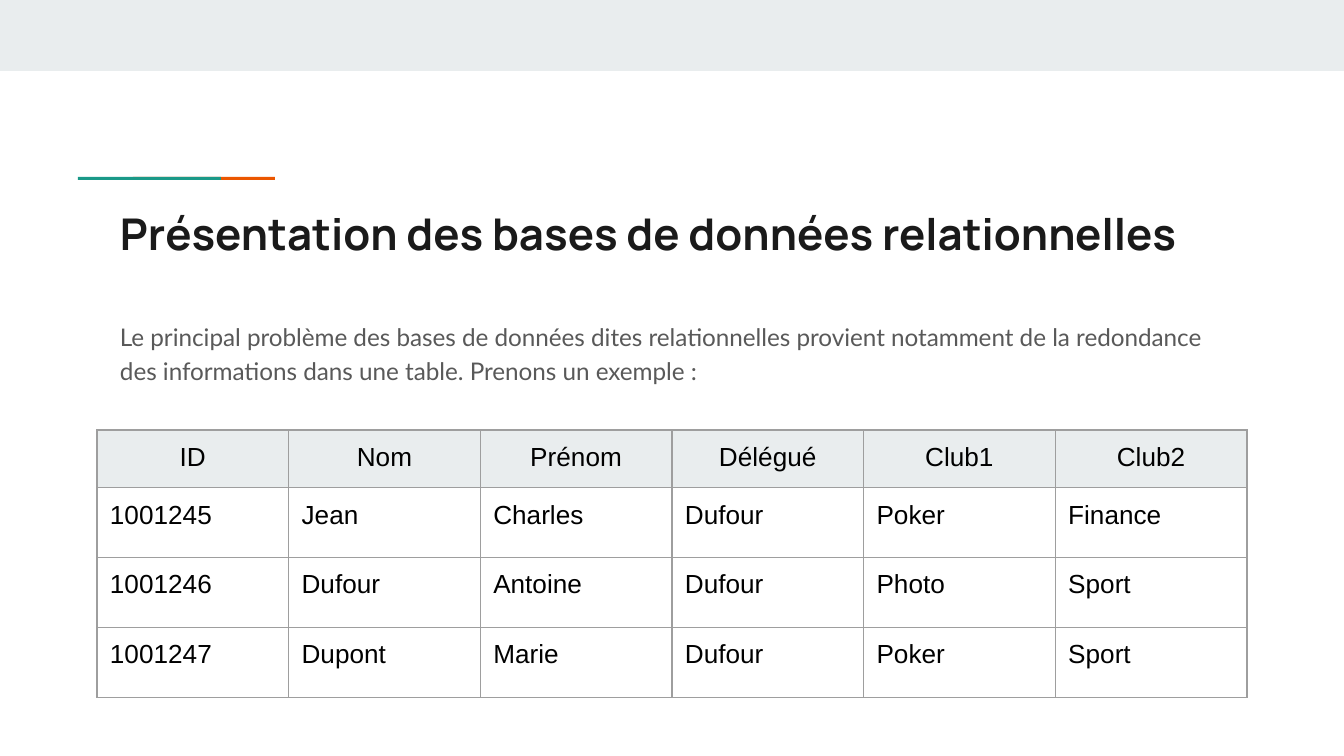
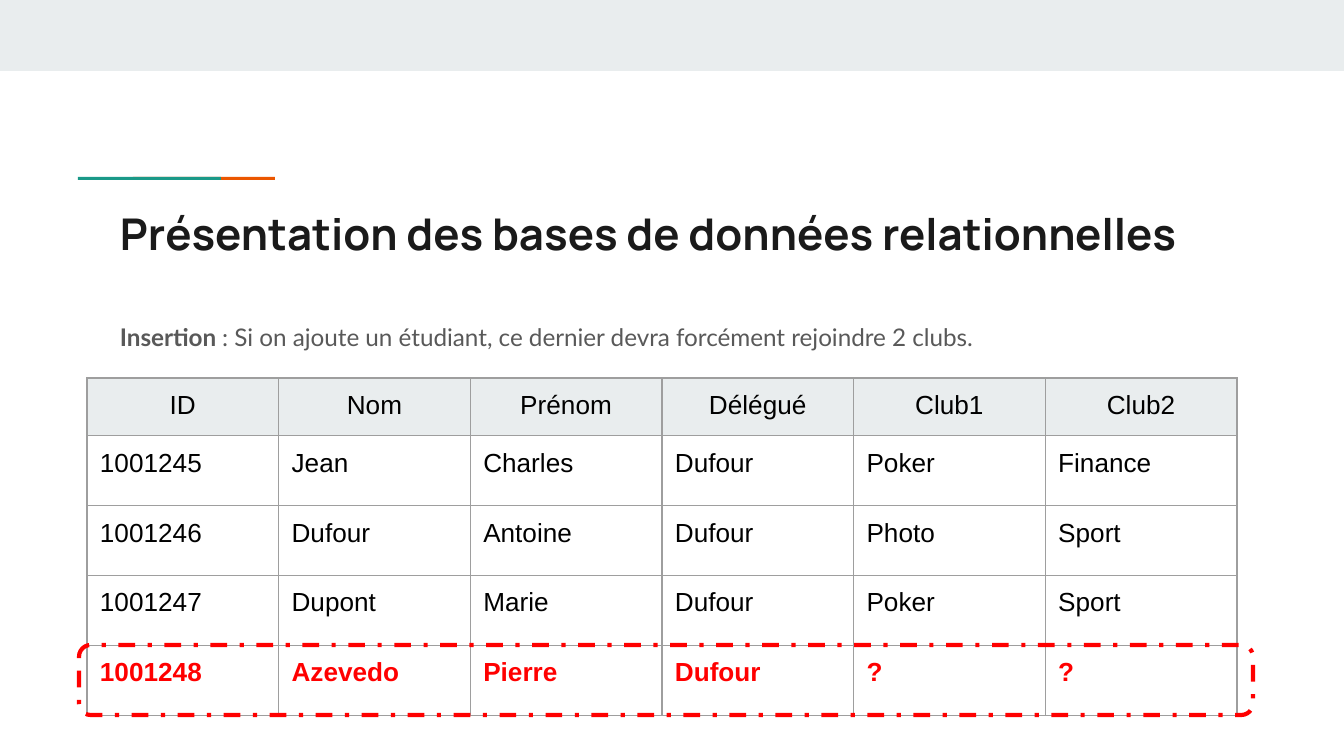
from lxml import etree
from pptx import Presentation
from pptx.dml.color import RGBColor
from pptx.enum.dml import MSO_LINE
from pptx.enum.shapes import MSO_SHAPE
from pptx.enum.text import PP_ALIGN
from pptx.oxml.ns import qn
from pptx.util import Emu, Pt

WIDTH, HEIGHT = 1344, 756
EMU_PER_PX = 9144000 / WIDTH

PALE = RGBColor(0xE9, 0xED, 0xEE)
ORANGE = RGBColor(0xEB, 0x56, 0x00)
TEAL = RGBColor(0x1A, 0x99, 0x88)
INK = RGBColor(0x1A, 0x1A, 0x1A)
GREY = RGBColor(0x59, 0x59, 0x59)
BORDER = RGBColor(0x9E, 0x9E, 0x9E)
BLACK = RGBColor(0, 0, 0)
RED = RGBColor(0xFF, 0, 0)

TITLE = "Présentation des bases de données relationnelles"
HEADER = ("ID", "Nom", "Prénom", "Délégué", "Club1", "Club2")
STUDENTS = [
    ("1001245", "Jean", "Charles", "Dufour", "Poker", "Finance"),
    ("1001246", "Dufour", "Antoine", "Dufour", "Photo", "Sport"),
    ("1001247", "Dupont", "Marie", "Dufour", "Poker", "Sport"),
]
NEW_STUDENT = ("1001248", "Azevedo", "Pierre", "Dufour", "?", "?")

# Runs are (text, bold) pairs.
SLIDES = [
    {
        "runs": [("Le principal problème des bases de données dites relationnelles "
                  "provient notamment de la redondance des informations dans une table. "
                  "Prenons un exemple :", False)],
        "body_height": 99,
        "table_at": (97, 430),
        "new_students": [],
    },
    {
        "runs": [("Insertion ", True),
                 (": Si on ajoute un étudiant, ce dernier devra forcément rejoindre "
                  "2 clubs.", False)],
        "body_height": 332,
        "table_at": (87, 378),
        "new_students": [NEW_STUDENT],
    },
]

TEXT_LEFT, TEXT_WIDTH = 107, 1130
TABLE_WIDTH = 1150
HEADER_HEIGHT, ROW_HEIGHT = 56, 70
INSET = 13
FRAME_LEFT, FRAME_WIDTH = 79, 1174


def px(length):
    return Emu(round(length * EMU_PER_PX))


def box(*lengths):
    return [px(length) for length in lengths]


def write(frame, runs, font, size, color, align=PP_ALIGN.LEFT, spacing=None, after=None):
    frame.word_wrap = True
    frame.margin_left = frame.margin_right = px(INSET)
    frame.margin_top = frame.margin_bottom = px(INSET)
    paragraph = frame.paragraphs[0]
    paragraph.alignment = align
    paragraph.line_spacing = spacing
    paragraph.space_after = after
    for text, bold in runs:
        run = paragraph.add_run()
        run.text = text
        run.font.name = font
        run.font.size = Pt(size)
        run.font.bold = bold
        run.font.color.rgb = color


def add_bar(slide, left, top, width, height, color):
    shape = slide.shapes.add_shape(MSO_SHAPE.RECTANGLE, *box(left, top, width, height))
    shape.shadow.inherit = False
    shape.fill.solid()
    shape.fill.fore_color.rgb = color
    shape.line.fill.background()


def add_text(slide, top, height, runs, **style):
    textbox = slide.shapes.add_textbox(*box(TEXT_LEFT, top, TEXT_WIDTH, height))
    write(textbox.text_frame, runs, **style)


def set_borders(cell):
    properties = cell._tc.get_or_add_tcPr()
    for position, side in enumerate(("a:lnL", "a:lnR", "a:lnT", "a:lnB")):
        line = etree.Element(qn(side), w=str(Pt(0.75)))
        fill = etree.SubElement(line, qn("a:solidFill"))
        etree.SubElement(fill, qn("a:srgbClr"), val=str(BORDER))
        properties.insert(position, line)


def add_student_table(slide, left, top, new_students):
    rows = [HEADER, *STUDENTS, *new_students]
    height = HEADER_HEIGHT + ROW_HEIGHT * (len(rows) - 1)
    table = slide.shapes.add_table(
        len(rows), len(HEADER), *box(left, top, TABLE_WIDTH, height)).table
    for column in table.columns:
        column.width = px(TABLE_WIDTH / len(HEADER))
    for index, values in enumerate(rows):
        is_header, is_new = index == 0, values in new_students
        table.rows[index].height = px(HEADER_HEIGHT if is_header else ROW_HEIGHT)
        for column, value in enumerate(values):
            cell = table.cell(index, column)
            write(cell.text_frame, [(value, is_new)], font="Arial", size=14,
                  color=RED if is_new else BLACK,
                  align=PP_ALIGN.CENTER if is_header else PP_ALIGN.LEFT)
            cell.margin_left = cell.margin_right = px(INSET)
            cell.margin_top = cell.margin_bottom = px(INSET)
            if is_header:
                cell.fill.solid()
                cell.fill.fore_color.rgb = PALE
            else:
                cell.fill.background()
            set_borders(cell)
    return top + height


def add_highlight(slide, top):
    frame = slide.shapes.add_shape(
        MSO_SHAPE.ROUNDED_RECTANGLE, *box(FRAME_LEFT, top, FRAME_WIDTH, ROW_HEIGHT))
    frame.shadow.inherit = False
    frame.fill.background()
    frame.line.color.rgb = RED
    frame.line.width = Pt(2.25)
    frame.line.dash_style = MSO_LINE.DASH_DOT


def add_base_slide(presentation):
    """Add a slide with the shared band, accent line and title."""
    slide = presentation.slides.add_slide(presentation.slide_layouts[6])
    add_bar(slide, 0, 0, WIDTH, 71, PALE)
    add_bar(slide, 133, 177, 142, 3, ORANGE)
    add_bar(slide, 78, 177, 143, 3, TEAL)
    add_text(slide, 194, 79, [(TITLE, True)], font="Manrope", size=23.4, color=INK)
    return slide


def main():
    presentation = Presentation()
    presentation.slide_width, presentation.slide_height = box(WIDTH, HEIGHT)
    for content in SLIDES:
        slide = add_base_slide(presentation)
        add_text(slide, 305, content["body_height"], content["runs"], font="Lato",
                 size=13, color=GREY, spacing=1.15, after=Pt(12))
        bottom = add_student_table(slide, *content["table_at"], content["new_students"])
        if content["new_students"]:
            add_highlight(slide, bottom - ROW_HEIGHT + 1)
    presentation.save("out.pptx")


if __name__ == "__main__":
    main()
